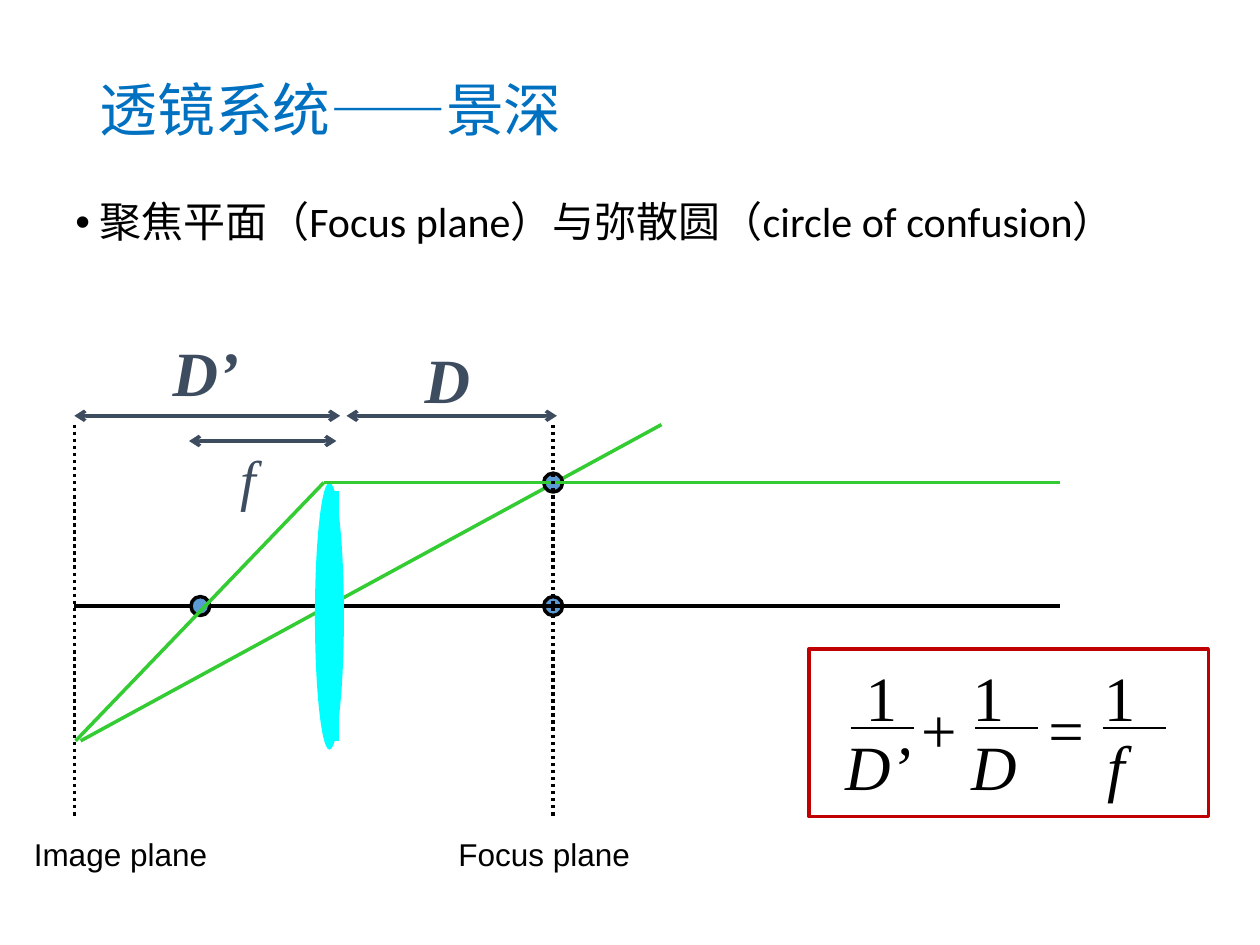
import pptx
import pptx.util
import pptx.dml.color
import pptx.enum.dml
import pptx.enum.shapes
import pptx.enum.text
import pptx.oxml
import pptx.oxml.ns

Inches, Pt = pptx.util.Inches, pptx.util.Pt
COLOURS = {"title": "0070C0", "ink": "000000", "ray": "33CC33", "lens": "02FFFF",
           "measure": "3D4C5F", "point": "5B9BD5", "frame": "C00000"}

TITLE = "透镜系统——景深"
BULLET = "聚焦平面（Focus plane）与弥散圆（circle of confusion）"

# Optical layout, in inches
IMAGE_X, LENS_X, FOCUS_X, RIGHT_X = 0.59, 2.57, 4.39, 8.41
TOP_Y, RAY_Y, AXIS_Y, IMAGE_Y, BOTTOM_Y = 3.37, 3.83, 4.81, 5.88, 6.48
POINT_SIZE = 0.15
FOCAL_X = 1.59

AXIS = (RIGHT_X, AXIS_Y, IMAGE_X, AXIS_Y)
CENTRE_RAY = (5.25, TOP_Y, 0.64, IMAGE_Y)
EDGE_RAYS = [(LENS_X, RAY_Y, 0.6, IMAGE_Y), (RIGHT_X, RAY_Y, LENS_X, RAY_Y)]
LENS_CORE = (2.65, 3.9, 2.65, 5.88)
LENS_BODY = (2.5, RAY_Y, 0.23, 2.12)

# right end, left end, height of the arrow; label, its left, top, width, size, bold
MEASURES = [
    (4.42, 2.75, 3.3, "D", 3.33, 2.63, 0.45, 36, True),
    (2.7, IMAGE_X, 3.3, "D’", 1.33, 2.58, 0.62, 36, True),
    (2.67, 1.5, 3.5, "f", 1.87, 3.46, 0.21, 32, False),
]
PLANES = [(IMAGE_X, "Image plane", 0.17), (FOCUS_X, "Focus plane", 3.54)]

# numerator left, denominator, denominator left, fraction bar left
FRACTIONS = [(6.83, "D’", 6.67, 6.75), (7.68, "D", 7.67, 7.74), (8.72, "f", 8.75, 8.75)]
OPERATORS = [("+", 7.27), ("=", 8.28)]
NUMERATOR_Y, OPERATOR_Y, DENOMINATOR_Y, BAR_Y, BAR_WIDTH = 5.16, 5.41, 5.7, 5.78, 0.5
FRAME = (6.42, 5.15, 3.17, 1.33)


def rgb(name):
    return pptx.dml.color.RGBColor.from_string(COLOURS[name])


def style(font, size, face, colour, bold=False, italic=False):
    font.size, font.name = Pt(size), face
    font.bold, font.italic = bold, italic
    font.color.rgb = rgb(colour)


def add_line(shapes, ends, colour, width=2, dotted=False, arrows=False):
    line = shapes.add_connector(pptx.enum.shapes.MSO_CONNECTOR.STRAIGHT,
                                *[Inches(value) for value in ends])
    line.line.color.rgb = rgb(colour)
    line.line.width = Pt(width)
    if dotted:
        line.line.dash_style = pptx.enum.dml.MSO_LINE.ROUND_DOT
    if arrows:
        outline = line.line._get_or_add_ln()
        for end in ("a:headEnd", "a:tailEnd"):
            pptx.oxml.ns.qn(end)
            tip = pptx.oxml.parse_xml(f"<{end} {pptx.oxml.ns.nsdecls('a')} type='arrow'/>")
            outline.append(tip)
    line._element.spPr.append(
        pptx.oxml.parse_xml(f"<a:effectLst {pptx.oxml.ns.nsdecls('a')}/>"))


def add_figure(shapes, kind, place, fill=None, outline=None):
    figure = shapes.add_shape(kind, *[Inches(value) for value in place])
    figure.shadow.inherit = False
    if fill:
        figure.fill.solid()
        figure.fill.fore_color.rgb = rgb(fill)
    else:
        figure.fill.background()
    if outline:
        figure.line.color.rgb = rgb(outline)
        figure.line.width = Pt(2)
    else:
        figure.line.fill.background()


def add_point(shapes, x, y):
    add_figure(shapes, pptx.enum.shapes.MSO_SHAPE.OVAL,
               (x - POINT_SIZE / 2, y - POINT_SIZE / 2, POINT_SIZE, POINT_SIZE), "point", "ink")


def add_text(shapes, text, left, top, width, height):
    box = shapes.add_textbox(Inches(left), Inches(top), Inches(width), Inches(height))
    box.text_frame.word_wrap = True
    box.text_frame.text = text
    return box.text_frame


def add_symbol(shapes, text, left, top, width, colour="ink", size=36, bold=False):
    """Add one mathematical symbol; letters are italic."""
    frame = add_text(shapes, text, left, top, width, 0.61)
    frame.margin_left = frame.margin_right = Inches(0.04)
    frame.margin_top, frame.margin_bottom = Inches(0.07), 0
    style(frame.paragraphs[0].runs[0].font, size, "Times New Roman", colour,
          bold, text[0].isalpha())


def add_headings(page):
    title = page.shapes.title
    title.left, title.top, title.width, title.height = map(Inches, (0.69, 0.4, 8.62, 0.99))
    title.text_frame.text = TITLE
    title.text_frame.vertical_anchor = pptx.enum.text.MSO_ANCHOR.MIDDLE
    para = title.text_frame.paragraphs[0]
    para.alignment = pptx.enum.text.PP_ALIGN.LEFT
    para.line_spacing = 0.9
    style(para.runs[0].font, 33, "Calibri", "title")

    para = add_text(page.shapes, BULLET, 0.5, 1.55, 9, 0.63).paragraphs[0]
    para.line_spacing = 0.9
    properties = para._p.get_or_add_pPr()
    properties.set("marL", str(Inches(0.19)))
    properties.set("indent", str(Inches(-0.19)))
    for tag in ('a:buFont typeface="Arial"', 'a:buChar char="•"'):
        name, attribute = tag.split(" ")
        properties.append(pptx.oxml.parse_xml(
            f"<{name} {pptx.oxml.ns.nsdecls('a')} {attribute}/>"))
    style(para.runs[0].font, 24, "Calibri", "ink")


def add_optics(shapes):
    add_line(shapes, LENS_CORE, "lens", 6)
    add_point(shapes, FOCUS_X, AXIS_Y)
    add_line(shapes, AXIS, "ink")
    add_line(shapes, CENTRE_RAY, "ray")
    add_point(shapes, FOCUS_X, RAY_Y)
    add_figure(shapes, pptx.enum.shapes.MSO_SHAPE.OVAL, LENS_BODY, "lens")
    add_point(shapes, FOCAL_X, AXIS_Y)
    for ray in EDGE_RAYS:
        add_line(shapes, ray, "ray")
    for x, label, left in PLANES:
        add_line(shapes, (x, TOP_Y, x, BOTTOM_Y), "ink", dotted=True)
        frame = add_text(shapes, label, left, 6.58, 1.9, 0.5)
        style(frame.paragraphs[0].runs[0].font, 18, "Arial", "ink")
    for right, left, y, label, label_x, label_y, width, size, bold in MEASURES:
        add_line(shapes, (right, y, left, y), "measure", arrows=True)
        add_symbol(shapes, label, label_x, label_y, width, "measure", size, bold)


def add_formula(shapes):
    for numerator_x, denominator, denominator_x, bar_x in FRACTIONS:
        add_symbol(shapes, "1", numerator_x, NUMERATOR_Y, 0.42)
        add_symbol(shapes, denominator, denominator_x, DENOMINATOR_Y, 0.69)
        add_line(shapes, (bar_x, BAR_Y, bar_x + BAR_WIDTH, BAR_Y), "ink", 1)
    for operator, left in OPERATORS:
        add_symbol(shapes, operator, left, OPERATOR_Y, 0.45)
    add_figure(shapes, pptx.enum.shapes.MSO_SHAPE.RECTANGLE, FRAME, outline="frame")


def main():
    deck = pptx.Presentation()
    deck.slide_width, deck.slide_height = Inches(10), Inches(7.5)
    page = deck.slides.add_slide(deck.slide_layouts.get_by_name("Title Only"))
    add_headings(page)
    add_optics(page.shapes)
    add_formula(page.shapes.add_group_shape().shapes)
    deck.save("out.pptx")


if __name__ == "__main__":
    main()
